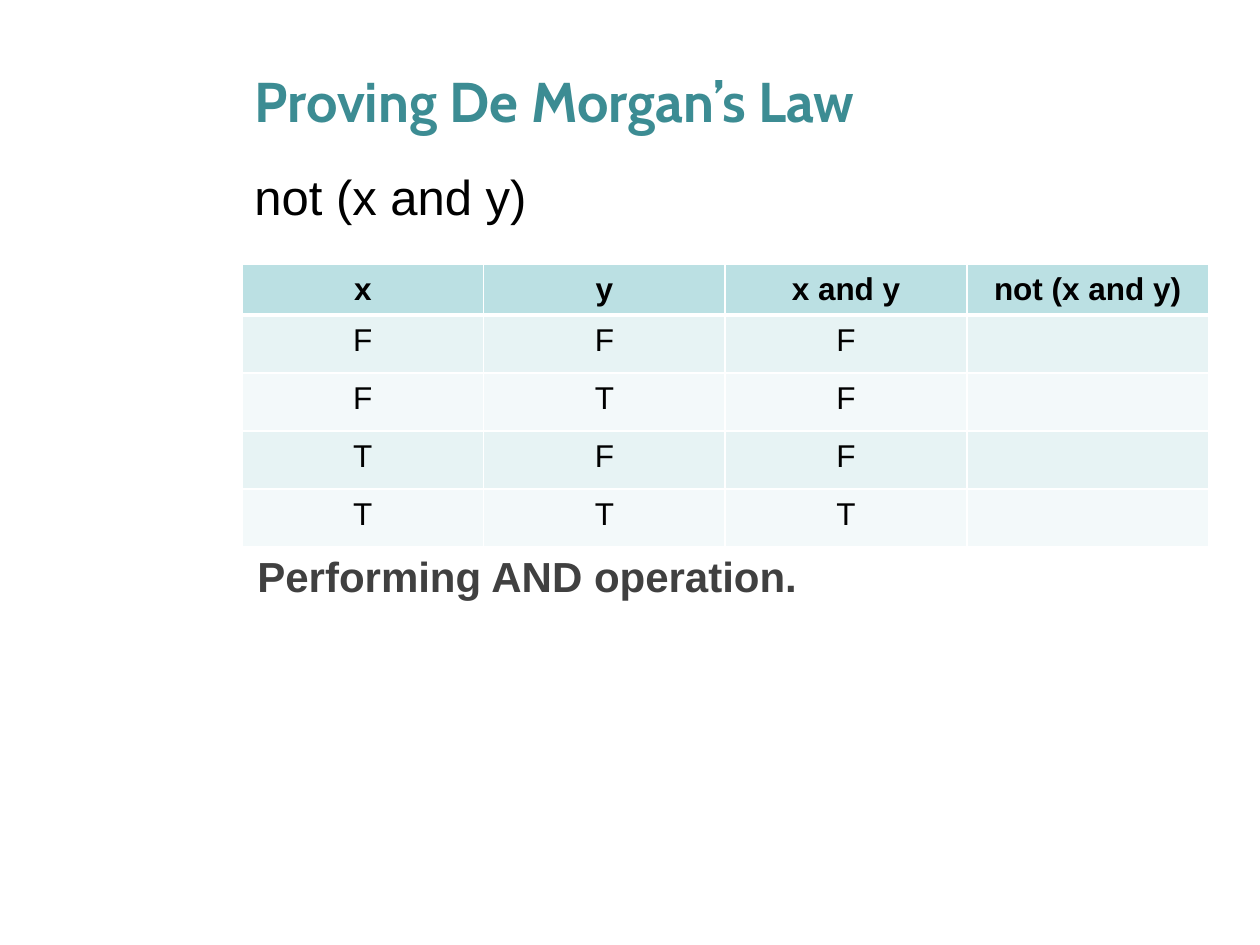
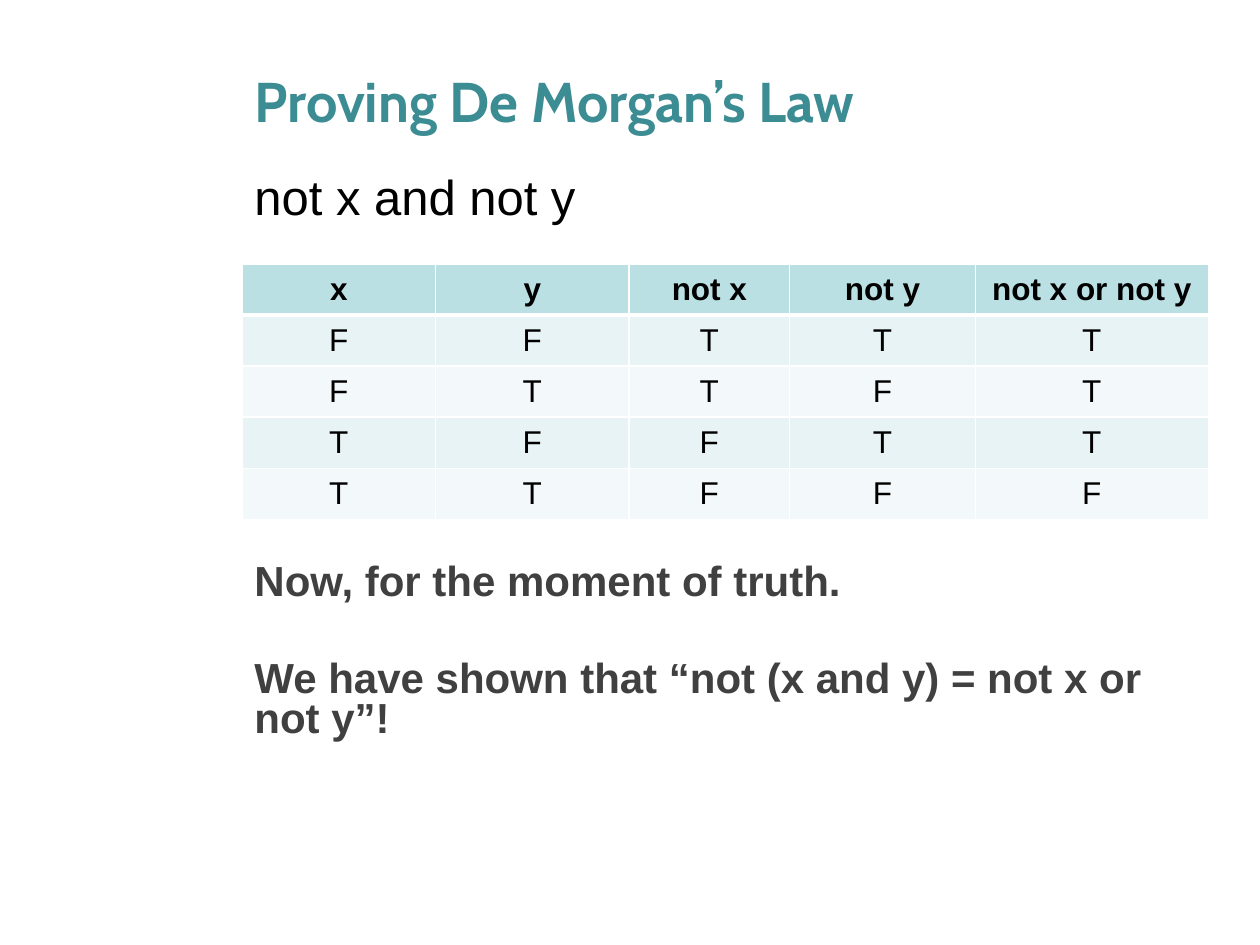
from lxml import etree
from pptx import Presentation
from pptx.dml.color import RGBColor as Rgb
from pptx.enum.text import MSO_ANCHOR as Anchor, PP_ALIGN as Align
from pptx.oxml.ns import qn
from pptx.util import Cm, Pt

COLORS = {
    "title": "3C8C93",
    "text": "000000",
    "remark": "404040",
    "header": "BBE0E3",
    "odd_row": "E7F3F4",
    "even_row": "F3F9FA",
    "border": "FFFFFF",
}
LEFT, WIDTH = 4.88, 19.48
ROW_HEIGHT = 1.03

truth_slides = [
    {
        "subtitle": "not (x and y)",
        "widths": [WIDTH / 4] * 4,
        "rows": [
            ["x", "y", "x and y", "not (x and y)"],
            ["F", "F", "F", ""],
            ["F", "T", "F", ""],
            ["T", "F", "F", ""],
            ["T", "T", "T", ""],
        ],
        "remarks": ["Performing AND operation."],
        "remark_box": (11.16, 11.5, 1.07),
        "remark_format": {"align": Align.CENTER, "wrap": False},
    },
    {
        "subtitle": "not x and not y",
        "widths": [3.9, 3.9, 3.24, 3.74, 4.7],
        "rows": [
            ["x", "y", "not x", "not y", "not x or not y"],
            ["F", "F", "T", "T", "T"],
            ["F", "T", "T", "F", "T"],
            ["T", "F", "F", "T", "T"],
            ["T", "T", "F", "F", "F"],
        ],
        "remarks": [
            "Now, for the moment of truth.",
            "We have shown that “not (x and y) = not x or not y”!",
        ],
        "remark_box": (11.26, 19.28, 3.96),
        "remark_format": {},
    },
]


def write(frame, *texts, size=18, color="text", font="Arial", bold=False,
          align=Align.LEFT, spacing=1.0, gap=0, wrap=True, anchor=Anchor.TOP):
    frame.word_wrap = wrap
    frame.vertical_anchor = anchor
    for index, text in enumerate(texts):
        para = frame.add_paragraph() if index else frame.paragraphs[0]
        para.alignment = align
        para.line_spacing = spacing
        if index:
            para.space_before = Pt(gap)
        if text:
            span = para.add_run()
            span.text = text
            span.font.size = Pt(size)
            span.font.name = font
            span.font.bold = bold
            span.font.color.rgb = Rgb.from_string(COLORS[color])


def set_border(cell, side, points):
    line = etree.SubElement(cell._tc.get_or_add_tcPr(), qn(f"a:ln{side}"), w=str(Pt(points)))
    fill = etree.SubElement(line, qn("a:solidFill"))
    etree.SubElement(fill, qn("a:srgbClr"), val=COLORS["border"])


deck = Presentation()
deck.slide_width, deck.slide_height = Cm(25.4), Cm(19.05)

for content in truth_slides:
    page = deck.slides.add_slide(deck.slide_layouts[6])

    title = page.shapes.add_textbox(Cm(LEFT), Cm(0.84), Cm(WIDTH), Cm(2.34))
    write(title.text_frame, "Proving De Morgan’s Law", size=32, color="title",
          font="Cabin", bold=True, anchor=Anchor.MIDDLE)

    subtitle = page.shapes.add_textbox(Cm(LEFT), Cm(3.24), Cm(WIDTH), Cm(1.8))
    write(subtitle.text_frame, content["subtitle"], size=28)

    rows, widths = content["rows"], content["widths"]
    table = page.shapes.add_table(len(rows), len(widths), Cm(LEFT), Cm(5.32),
                                  Cm(WIDTH), Cm(ROW_HEIGHT * len(rows))).table
    for column, width in zip(table.columns, widths):
        column.width = Cm(width)
    for row_index, values in enumerate(rows):
        table.rows[row_index].height = Cm(ROW_HEIGHT)
        is_header = row_index == 0
        fill_name = "header" if is_header else "odd_row" if row_index % 2 else "even_row"
        for column_index, value in enumerate(values):
            cell = table.cell(row_index, column_index)
            cell.margin_top = Cm(0.28)
            write(cell.text_frame, value, bold=is_header, align=Align.CENTER, spacing=0.8)
            set_border(cell, "L", 1)
            set_border(cell, "R", 1)
            set_border(cell, "T", 3 if row_index == 1 else 1)
            set_border(cell, "B", 3 if is_header else 1)
            cell.fill.solid()
            cell.fill.fore_color.rgb = Rgb.from_string(COLORS[fill_name])

    top, width, height = content["remark_box"]
    remark = page.shapes.add_textbox(Cm(LEFT), Cm(top), Cm(width), Cm(height))
    write(remark.text_frame, *content["remarks"], size=24, color="remark", bold=True,
          spacing=0.8, gap=32, **content["remark_format"])

deck.save("out.pptx")
